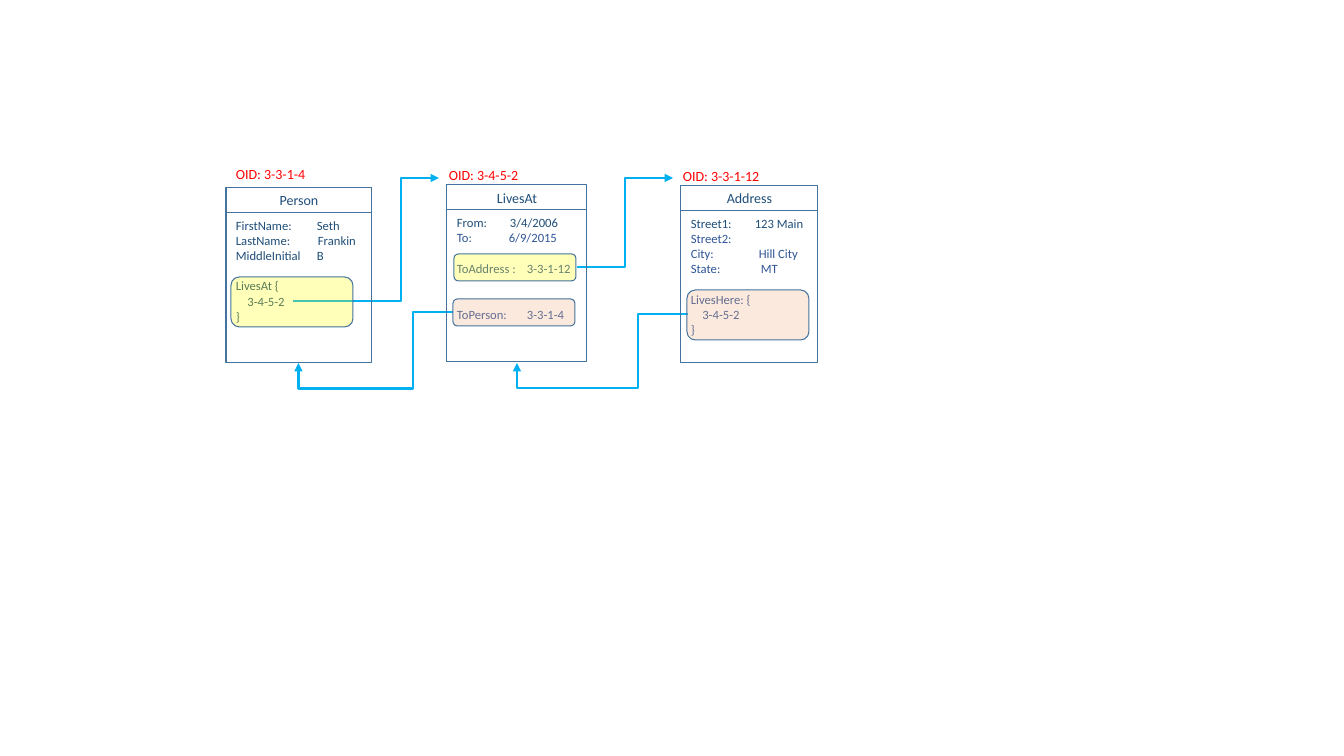
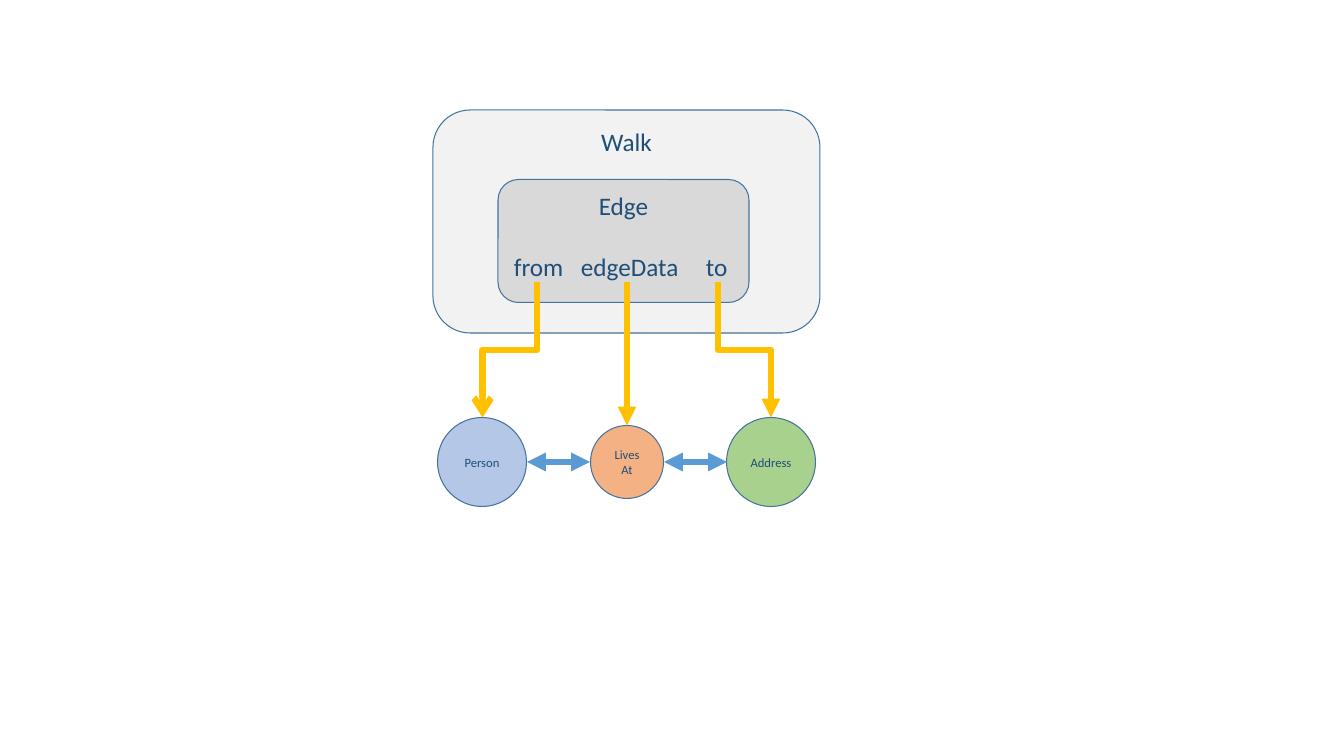
"""Build two diagrams of linked objects: a record view and a graph view."""
from lxml import etree
from pptx import Presentation
from pptx import util as u
from pptx.dml.color import RGBColor
from pptx.enum import shapes, text
from pptx.oxml import ns

PIXELS_PER_INCH = 100.8
FONT = "Calibri"
OUTLINE = RGBColor(0x43, 0x73, 0x9E)
NAVY = RGBColor(0x1F, 0x4E, 0x79)
INDIGO = RGBColor(0x2F, 0x55, 0x97)
RED = RGBColor(0xFF, 0x00, 0x00)
CYAN = RGBColor(0x00, 0xB0, 0xF0)
BLUE = RGBColor(0x5B, 0x9B, 0xD5)
GOLD = RGBColor(0xFF, 0xC0, 0x00)
YELLOW = RGBColor(0xFF, 0xFF, 0x00)
ORANGE = RGBColor(0xF4, 0xB1, 0x83)
GREEN = RGBColor(0xA9, 0xD1, 0x8E)
PALE_BLUE = RGBColor(0xB4, 0xC7, 0xE7)
PALE_GREY = RGBColor(0xF2, 0xF2, 0xF2)
MID_GREY = RGBColor(0xD9, 0xD9, 0xD9)
SHAPE = shapes.MSO_SHAPE
CONNECTOR = shapes.MSO_CONNECTOR
ALIGN = text.PP_ALIGN
ANCHOR = text.MSO_ANCHOR


def px(value):
    """Turn pixels into EMU."""
    return u.Emu(round(value * u.Inches(1) / PIXELS_PER_INCH))


def add_xml(parent, tag, **attributes):
    """Append a DrawingML element and return it."""
    element = etree.SubElement(parent, ns.qn(f"a:{tag}"))
    for name, value in attributes.items():
        element.set(name, str(value))
    return element


def format_paragraph(paragraph, size, color, align=ALIGN.LEFT):
    """Set the alignment and the look of the runs."""
    paragraph.alignment = align
    for run in paragraph.runs:
        run.font.name = FONT
        run.font.size = u.Pt(size)
        run.font.color.rgb = color


def set_tabs(paragraph, stops):
    """Give a paragraph left tab stops in pixels."""
    tabs = add_xml(paragraph._p.get_or_add_pPr(), "tabLst")
    for stop in stops:
        add_xml(tabs, "tab", pos=px(stop), algn="l")


def add_box(slide, kind, bounds, fill=None, opacity=None):
    """Add an outlined shape, filled if a colour is given."""
    shape = slide.shapes.add_shape(kind, *map(px, bounds))
    shape.shadow.inherit = False
    shape.line.color.rgb = OUTLINE
    shape.line.width = u.Pt(0.75)
    if fill is None:
        shape.fill.background()
    else:
        shape.fill.solid()
        shape.fill.fore_color.rgb = fill
    if opacity is not None:
        color = shape._element.spPr.find(".//" + ns.qn("a:srgbClr"))
        add_xml(color, "alpha", val=opacity * 1000)
    return shape


def add_caption(shape, caption, size, anchor=ANCHOR.MIDDLE):
    """Write a centred caption into a shape."""
    shape.text_frame.text = caption
    shape.text_frame.word_wrap = True
    shape.text_frame.vertical_anchor = anchor
    format_paragraph(shape.text_frame.paragraphs[0], size, NAVY, ALIGN.CENTER)


def add_arrow(slide, kind, start, end, color, width, head=None, tail="triangle"):
    """Add a connector with arrowheads."""
    arrow = slide.shapes.add_connector(kind, *map(px, (*start, *end)))
    arrow.line.color.rgb = color
    arrow.line.width = u.Pt(width)
    line = arrow.line._get_or_add_ln()
    if head:
        add_xml(line, "headEnd", type=head)
    add_xml(line, "tailEnd", type=tail)
    add_xml(arrow._element.spPr, "effectLst")
    return arrow


def add_reference(slide, start, end, bends):
    """Add a bent arrow that leaves sideways, with its bends as fractions."""
    arrow = add_arrow(slide, CONNECTOR.ELBOW, start, end, CYAN, 1.5)
    geometry = arrow._element.spPr.find(ns.qn("a:prstGeom"))
    geometry.set("prst", f"bentConnector{len(bends) + 2}")
    guides = geometry.find(ns.qn("a:avLst"))
    if guides is None:
        guides = add_xml(geometry, "avLst")
    for number, bend in enumerate(bends, 1):
        name = "adj1" if len(bends) == 1 else f"adj{number}"
        add_xml(guides, "gd", name=name, fmla=f"val {round(bend * 100000)}")


def add_drop(slide, start, end, tail):
    """Add a bent arrow that leaves downwards, as a turned connector."""
    middle_x, middle_y = (start[0] + end[0]) / 2, (start[1] + end[1]) / 2
    turn = 1 if end[0] < start[0] else -1
    along = turn * (end[1] - start[1]) / 2
    across = abs(end[0] - start[0]) / 2
    arrow = add_arrow(slide, CONNECTOR.ELBOW,
                      (middle_x - along, middle_y - across),
                      (middle_x + along, middle_y + across), GOLD, 4.5, tail=tail)
    arrow._element.spPr.find(ns.qn("a:xfrm")).set("rot", str(turn * 90 % 360 * 60000))


def add_record(slide, name, oid, oid_at, bounds, rows, row_color):
    """Add an object record: identifier, heading and rows of fields."""
    left, top, width, height = bounds
    label = slide.shapes.add_textbox(*map(px, (*oid_at, 110, 30)))
    label.text_frame.word_wrap = True
    label.text_frame.text = f"OID: {oid}"
    format_paragraph(label.text_frame.paragraphs[0], 10, RED)
    add_caption(add_box(slide, SHAPE.RECTANGLE, (left, top, width, 25)), name, 10)
    body = add_box(slide, SHAPE.RECTANGLE, (left, top + 25, width, height - 25))
    frame = body.text_frame
    frame.word_wrap = True
    frame.vertical_anchor = ANCHOR.TOP
    for index, (content, tab, gap, indent) in enumerate(rows):
        paragraph = frame.add_paragraph() if index else frame.paragraphs[0]
        paragraph.text = content
        format_paragraph(paragraph, 9, row_color if index else NAVY)
        paragraph.space_before = u.Pt(gap)
        if indent:
            paragraph._p.get_or_add_pPr().set("marL", str(px(indent)))
        if tab:
            set_tabs(paragraph, [tab])


def build_records(slide):
    """Draw three records and the references between them."""
    add_reference(slide, (293, 301), (439, 178), [0.74])
    add_reference(slide, (577, 267), (673, 178), [0.5])
    add_reference(slide, (453, 312), (298.5, 363), [0.26, 1.5])
    add_reference(slide, (688, 314), (517, 363), [0.29, 1.51])
    add_record(slide, "Person", "3-3-1-4", (226, 161), (226, 187.5, 146, 175), [
        ("FirstName:\tSeth", 81, 0, 0),
        ("LastName:\tFrankin", 82, 0, 0),
        ("MiddleInitial\tB", 81, 0, 0),
        ("LivesAt {", 0, 11, 0),
        ("3-4-5-2", 0, 0, 11.5),
        ("}", 0, 0, 0)], NAVY)
    add_record(slide, "LivesAt", "3-4-5-2", (439, 162), (447, 185, 140, 177), [
        ("From:\t3/4/2006", 53, 0, 0),
        ("To:\t6/9/2015", 52, 0, 0),
        ("ToAddress :\t3-3-1-12", 70, 11, 0),
        ("ToPerson:\t3-3-1-4", 70, 22, 0)], INDIGO)
    add_record(slide, "Address", "3-3-1-12", (673, 163), (681, 185.5, 137, 177), [
        ("Street1:\t123 Main", 64, 0, 0),
        ("Street2:", 0, 0, 0),
        ("City:\tHill City", 68, 0, 0),
        ("State:\tMT", 70, 0, 0),
        ("LivesHere: {", 0, 11, 0),
        ("3-4-5-2", 0, 0, 11.5),
        ("}", 0, 0, 0)], INDIGO)
    for left, top, height, color in ((454, 254, 27, YELLOW), (453, 299, 27, ORANGE),
                                     (687, 290, 50, ORANGE), (231, 277, 50, YELLOW)):
        add_box(slide, SHAPE.ROUNDED_RECTANGLE, (left, top, 122, height), color, 27)


def build_graph(slide):
    """Draw a walk whose edge points at three nodes."""
    node_y = 462
    for name, center_x, size, color in (("Address", 771, 89, GREEN),
                                        ("Person", 482, 89, PALE_BLUE),
                                        ("LivesAt", 627, 73, ORANGE)):
        bounds = (center_x - size / 2, node_y - size / 2, size, size)
        add_caption(add_box(slide, SHAPE.OVAL, bounds, color), name, 9)
    for right, left in ((590, 527), (727, 664)):
        add_arrow(slide, CONNECTOR.STRAIGHT, (right, node_y), (left, node_y),
                  BLUE, 4.5, head="triangle")
    walk = add_box(slide, SHAPE.ROUNDED_RECTANGLE, (433, 110, 387, 223), PALE_GREY)
    add_caption(walk, "Walk", 18, ANCHOR.TOP)
    edge = add_box(slide, SHAPE.ROUNDED_RECTANGLE, (498, 179.5, 251, 123), MID_GREY)
    add_caption(edge, "Edge", 18, ANCHOR.TOP)
    fields = edge.text_frame.add_paragraph()
    fields.text = "from\tedgeData\tto"
    format_paragraph(fields, 18, NAVY)
    fields.space_before = u.Pt(22)
    set_tabs(fields, [67, 192])
    add_drop(slide, (537, 282), (482.5, 417.5), "arrow")
    add_drop(slide, (718, 282), (771, 417.5), "triangle")
    add_arrow(slide, CONNECTOR.STRAIGHT, (627, 282), (627, 425.5), GOLD, 4.5)


def main():
    """Build and save the presentation."""
    presentation = Presentation()
    presentation.slide_width = px(1344)
    presentation.slide_height = px(756)
    blank = presentation.slide_layouts[6]
    for build in (build_records, build_graph):
        build(presentation.slides.add_slide(blank))
    presentation.save("out.pptx")


main()
